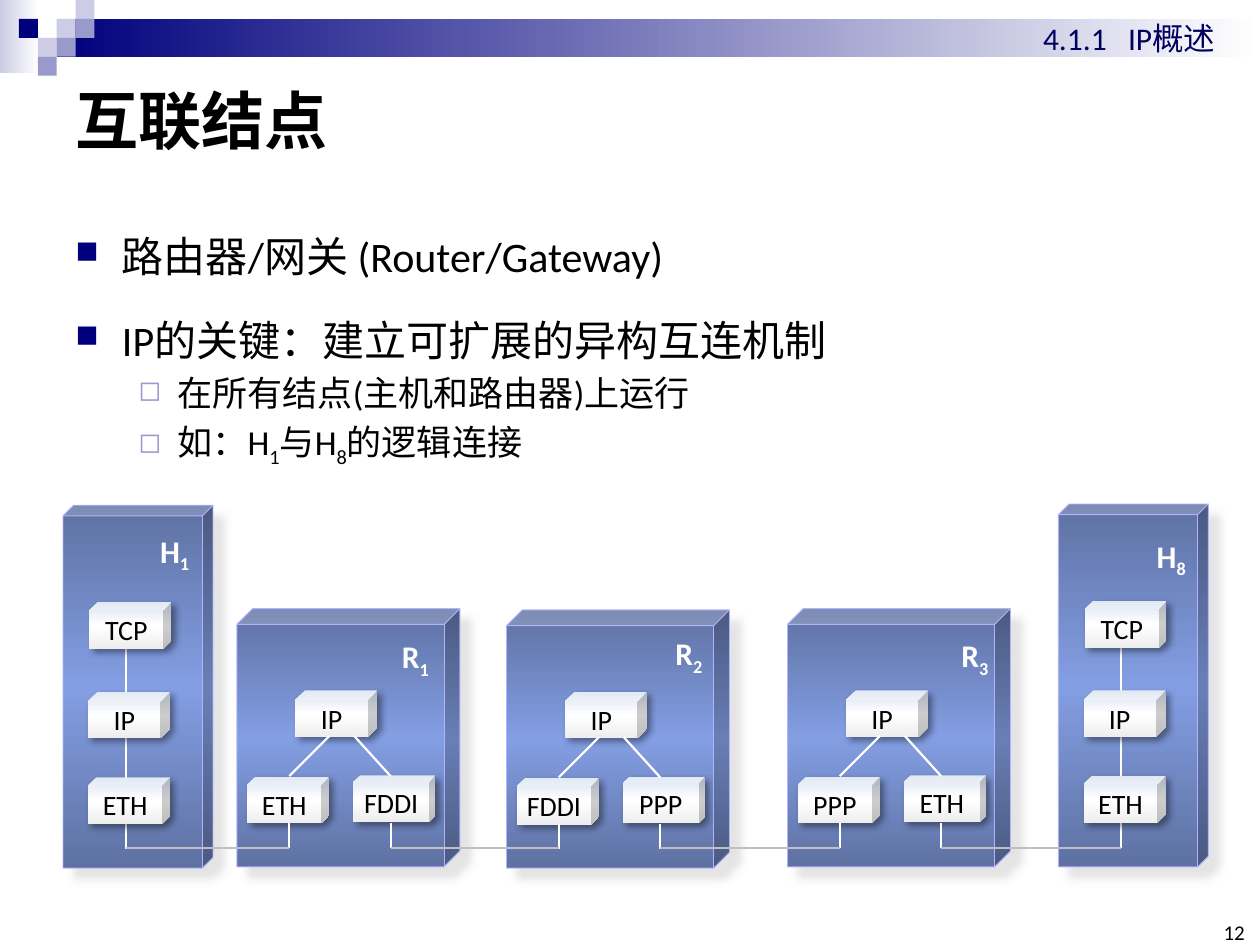
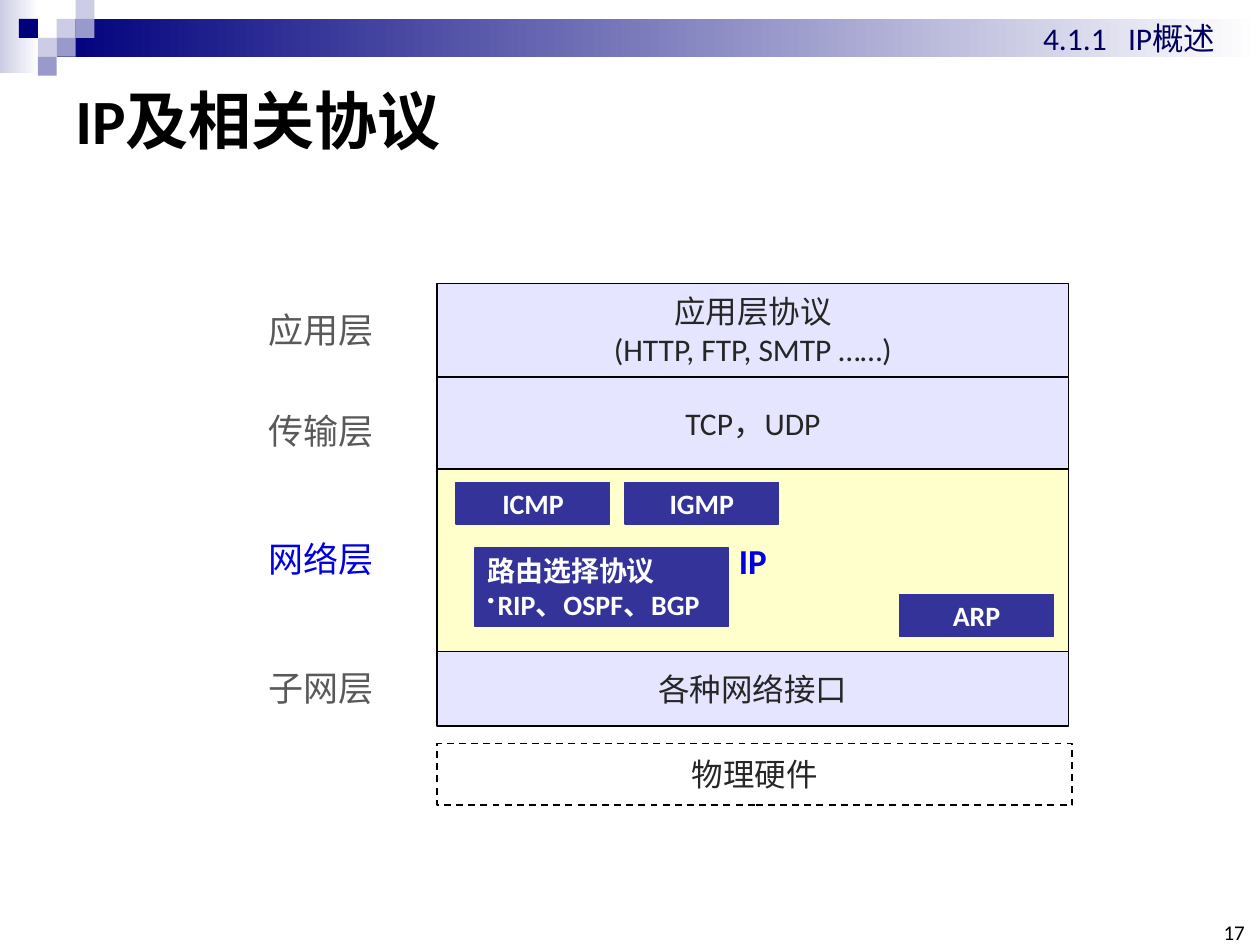
from dataclasses import dataclass, replace
from typing import NamedTuple, Optional, Sequence

from lxml.etree import SubElement
from pptx import Presentation
from pptx.dml.color import RGBColor
from pptx.enum.dml import MSO_LINE
from pptx.enum.shapes import MSO_CONNECTOR, MSO_SHAPE
from pptx.enum.text import MSO_ANCHOR, PP_ALIGN
from pptx.oxml.ns import qn
from pptx.shapes.autoshape import Shape
from pptx.slide import Slide
from pptx.util import Inches, Pt

COLS, ROWS = 100, 75
CELL = Inches(10) // COLS
FONT = "Calibri"
HUES = {
    "navy": "00007D", "mist": "CCCCE6", "lilac": "9999CC", "white": "FFFFFF",
    "black": "000000", "head": "00005E", "steel": "5E71A2", "sky": "839EE3",
    "edge": "B2B2FF", "shade": "CACACA", "ice": "DBE4F1", "pale": "EEEEEE",
    "wire": "BFBFBF", "layer": "E5E5FF", "cream": "FFFFCC", "chip": "333399",
    "text": "262626", "grey": "595959", "blue": "0000E4",
}


class Box(NamedTuple):
    x: float
    y: float
    w: float
    h: float


class Run(NamedTuple):
    text: str
    sub: bool = False


class Glow(NamedTuple):
    hue: str
    alpha: int
    blur: float
    dist: float


class Mark(NamedTuple):
    char: str
    hue: str
    size: int
    left: float
    hang: float


@dataclass(frozen=True)
class Type:
    size: float
    hue: str = "black"
    bold: bool = False
    align: PP_ALIGN = PP_ALIGN.LEFT
    anchor: MSO_ANCHOR = MSO_ANCHOR.TOP
    wrap: bool = True
    pad: tuple[float, float] = (1, 0.5)


@dataclass(frozen=True)
class Para:
    runs: Sequence[Run]
    size: Optional[float] = None
    mark: Optional[Mark] = None
    lead: float = 1
    above: float = 0
    tab: float = 0


@dataclass(frozen=True)
class Look:
    fill: Sequence[str] = ()
    angle: int = 0
    line: str = ""
    width: float = 1
    dash: bool = False
    glow: Optional[Glow] = None


@dataclass(frozen=True)
class Node:
    name: str
    num: str
    x: float
    y: float
    tag: tuple[float, float]
    stack: tuple[str, ...]


TITLE = Type(36, bold=True, anchor=MSO_ANCHOR.MIDDLE)
MID = Type(18, "text", align=PP_ALIGN.CENTER, anchor=MSO_ANCHOR.MIDDLE, wrap=False)
TAG = Type(18, "white", bold=True, pad=(0, 0.5))
FOOT = Type(12, align=PP_ALIGN.RIGHT, anchor=MSO_ANCHOR.BOTTOM, pad=(0, 0))
UNIT = replace(MID, size=16, hue="black")
CHIP = replace(MID, size=16, hue="white", bold=True)
TOWER = Look(("steel", "sky", "steel"), 90, "edge", 0.5, glow=Glow("shade", 50, 5, 8.5))
BRICK = Look(("ice", "white", "pale"), 90, glow=Glow("black", 40, 4, 3))
BLUE = Look(("chip",), line="chip", width=0.75)
MAIN = Mark("■", "navy", 75, 3.7, -3.7)
MINOR = Mark("◻", "lilac", 80, 8.1, -3.1)
DOT = Mark("•", "white", 75, 0.8, -2)


def grid(n: float) -> int:
    return round(n * CELL)


def hue(name: str) -> RGBColor:
    return RGBColor.from_string(HUES[name])


def add(root, tag: str, **attrs):
    return SubElement(root, qn(tag), {k: str(v) for k, v in attrs.items()})


def bullet(para, mark: Mark) -> None:
    props = para._p.get_or_add_pPr()
    props.set("marL", str(grid(mark.left)))
    props.set("indent", str(grid(mark.hang)))
    add(add(props, "a:buClr"), "a:srgbClr", val=HUES[mark.hue])
    add(props, "a:buSzPct", val=mark.size * 1000)
    add(props, "a:buChar", char=mark.char)


def write(shape: Shape, paras: Sequence[Para], kind: Type) -> None:
    frame = shape.text_frame
    frame.word_wrap = kind.wrap
    frame.vertical_anchor = kind.anchor
    frame.margin_left = frame.margin_right = grid(kind.pad[0])
    frame.margin_top = frame.margin_bottom = grid(kind.pad[1])
    for i, item in enumerate(paras):
        para = frame.add_paragraph() if i else frame.paragraphs[0]
        para.alignment = kind.align
        para.line_spacing = item.lead
        para.space_before = Pt(item.above)
        if item.mark:
            bullet(para, item.mark)
        if item.tab:
            tabs = add(para._p.get_or_add_pPr(), "a:tabLst")
            add(tabs, "a:tab", pos=grid(item.tab), algn="l")
        for piece in item.runs:
            run = para.add_run()
            run.text = piece.text
            font = run.font
            font.name, font.bold = FONT, kind.bold
            font.size = Pt(item.size or kind.size)
            font.color.rgb = hue(kind.hue)
            if piece.sub:
                run._r.get_or_add_rPr().set("baseline", "-25000")


def lines(*texts: str) -> list[Para]:
    return [Para([Run(text)]) for text in texts]


def label(slide: Slide, box: Box, paras: Sequence[Para], kind: Type) -> None:
    write(slide.shapes.add_textbox(*map(grid, box)), paras, kind)


def blend(shape: Shape, look: Look) -> None:
    shape.fill.gradient()
    shape.fill.gradient_angle = -look.angle % 360
    stops = shape.element.spPr.find(qn("a:gradFill")).find(qn("a:gsLst"))
    for stop in list(stops):
        stops.remove(stop)
    for i, name in enumerate(look.fill):
        stop = add(stops, "a:gs", pos=100000 * i // (len(look.fill) - 1))
        add(stop, "a:srgbClr", val=HUES[name])


def draw(slide: Slide, box: Box, look: Look, form: MSO_SHAPE = MSO_SHAPE.RECTANGLE) -> Shape:
    shape = slide.shapes.add_shape(form, *map(grid, box))
    shape.shadow.inherit = False
    if len(look.fill) > 1:
        blend(shape, look)
    elif look.fill:
        shape.fill.solid()
        shape.fill.fore_color.rgb = hue(look.fill[0])
    else:
        shape.fill.background()
    if look.line:
        shape.line.color.rgb = hue(look.line)
        shape.line.width = Pt(look.width)
        if look.dash:
            shape.line.dash_style = MSO_LINE.DASH
    else:
        shape.line.fill.background()
    if look.glow:
        glow = look.glow
        root = shape.element.spPr.find(qn("a:effectLst"))
        cast = add(root, "a:outerShdw", blurRad=Pt(glow.blur), dist=Pt(glow.dist),
                   dir=45 * 60000, algn="tl", rotWithShape=0)
        add(add(cast, "a:srgbClr", val=HUES[glow.hue]), "a:alpha", val=glow.alpha * 1000)
    return shape


def cube(slide: Slide, box: Box, look: Look, depth: float) -> Shape:
    shape = draw(slide, box, look, MSO_SHAPE.CUBE)
    shape.adjustments[0] = depth
    return shape


def brick(slide: Slide, x: float, y: float, name: str, depth: float) -> None:
    write(cube(slide, Box(x, y, 6.5, 3.7), BRICK, depth), lines(name), UNIT)


def link(slide: Slide, x: float, y: float, to_x: float, to_y: float, name: str = "white") -> None:
    wire = slide.shapes.add_connector(MSO_CONNECTOR.STRAIGHT, *map(grid, (x, y, to_x, to_y)))
    wire.line.color.rgb = hue(name)
    wire.line.width = Pt(1.25)
    add(wire.element.spPr, "a:effectLst")


def sign(slide: Slide, node: Node) -> None:
    dx, dy = node.tag
    runs = [Run(node.name), Run(node.num, True)]
    label(slide, Box(node.x + dx, node.y + dy, 4.1, 4), [Para(runs)], TAG)


def host(slide: Slide, node: Node) -> list[float]:
    x, y = node.x, node.y
    cube(slide, Box(x, y, 11.9, 28.8), TOWER, 0.071)
    link(slide, x + 5, y + 11.3, x + 5, y + 27.3)
    spots = ((2.1, 7.7, 0.172), (2, 14.8, 0.206), (2, 21.6, 0.172))
    for name, (dx, dy, depth) in zip(node.stack, spots):
        brick(slide, x + dx, y + dy, name, depth)
    sign(slide, node)
    return [x + 5]


def router(slide: Slide, node: Node) -> list[float]:
    x, y = node.x, node.y
    cube(slide, Box(x, y, 17.7, 20.5), TOWER, 0.071)
    spots = ((4.65, 6.5, 0.206), (0.83, 13.35, 0.172), (9.25, 13.25, 0.138))
    for name, (dx, dy, depth) in zip(node.stack, spots):
        brick(slide, x + dx, y + dy, name, depth)
    ports = [x + 4.15, x + 12.2]
    for top, port in zip((x + 7.35, x + 9.3), ports):
        link(slide, top, y + 10.1, port, y + 13.3)
        link(slide, port, y + 17, port, y + 19)
    sign(slide, node)
    return ports


def band(slide: Slide) -> None:
    draw(slide, Box(0, 0, 3.1, 5.8), Look(("mist", "white")))
    draw(slide, Box(4.5, 1.5, 95.5, 3), Look(("navy", "white")))
    tiles = ((3, 1, "mist"), (4, 0, "mist"), (4, 1, "lilac"), (2, 2, "mist"),
             (1, 1, "navy"), (3, 2, "lilac"), (2, 3, "lilac"))
    for col, row, name in tiles:
        draw(slide, Box(col * 1.5, row * 1.5, 1.5, 1.5), Look((name,)))


def start(deck, title: str, page: str) -> Slide:
    slide = deck.slides.add_slide(deck.slide_layouts[6])
    band(slide)
    label(slide, Box(5, 5, 90, 8.9), lines(title), TITLE)
    label(slide, Box(96.5, 73.3, 2.3, 1.7), lines(page), FOOT)
    head = Para([Run("4.1.1\t"), Run("IP概述")], tab=6.75)
    label(slide, Box(81.8, 1, 17, 4), [head], Type(18, "head"))
    return slide


def nodes(deck) -> None:
    slide = start(deck, "互联结点", "12")
    logic = [Run("如：H"), Run("1", True), Run("与H"), Run("8", True), Run("的逻辑连接")]
    body = [Para([Run(text)], 24, MAIN, 1.5, 4.8)
            for text in ("路由器/网关 (Router/Gateway)", "IP的关键：建立可扩展的异构互连机制")]
    body += [Para(runs, 20, MINOR, 1, 4)
             for runs in ([Run("在所有结点(主机和路由器)上运行")], logic)]
    label(slide, Box(5, 15.8, 90, 20.7), body, Type(24))
    stack = ("TCP", "IP", "ETH")
    chain = (
        Node("H", "1", 5, 40.1, (7.7, 1.6), stack),
        Node("R", "1", 18.8, 48.3, (13.1, 1.8), ("IP", "ETH", "FDDI")),
        Node("R", "2", 40.2, 48.4, (13.4, 1.4), ("IP", "FDDI", "PPP")),
        Node("R", "3", 62.5, 48.3, (13.8, 1.7), ("IP", "PPP", "ETH")),
        Node("H", "8", 84, 40, (7.8, 2.1), stack),
    )
    ports = []
    for node in chain:
        ports += (host if node.name == "H" else router)(slide, node)
    for left, right in zip(ports[::2], ports[1::2]):
        link(slide, left, 67.3, right, 67.3, "wire")


def layers(deck) -> None:
    slide = start(deck, "IP及相关协议", "17")
    plain = Look(("layer",), line="black")
    net = replace(MID, size=20, hue="blue", bold=True)
    rows = (
        (7.4, plain, MID, ("应用层协议", "(HTTP, FTP, SMTP ……)")),
        (7.3, plain, MID, ("TCP，UDP",)),
        (14.5, Look(("cream",), line="black"), net, ("IP",)),
        (5.9, plain, MID, ("各种网络接口",)),
    )
    y = 22.5
    for high, look, kind, texts in rows:
        write(draw(slide, Box(34.7, y, 50.1, high), look), lines(*texts), kind)
        y += high
    base = draw(slide, Box(34.7, 59, 50.4, 4.9), Look(line="black", dash=True))
    write(base, lines("物理硬件"), MID)
    for x, top, name in ((36.2, 38.3, "ICMP"), (49.6, 38.3, "IGMP"), (71.4, 47.2, "ARP")):
        write(draw(slide, Box(x, top, 12.2, 3.3), BLUE), lines(name), CHIP)
    route = [Para([Run("路由选择协议")]), Para([Run("RIP、OSPF、BGP")], mark=DOT)]
    write(draw(slide, Box(37.7, 43.5, 20.1, 6.2), BLUE), route, replace(CHIP, align=PP_ALIGN.LEFT))
    names = (("应用层", 24, "grey"), ("传输层", 32, "grey"),
             ("网络层", 42.2, "blue"), ("子网层", 52.4, "grey"))
    for name, top, tint in names:
        label(slide, Box(20.3, top, 11.8, 4.4), lines(name), Type(20, tint))


def main() -> None:
    deck = Presentation()
    deck.slide_width, deck.slide_height = COLS * CELL, ROWS * CELL
    nodes(deck)
    layers(deck)
    deck.save("out.pptx")


main()
